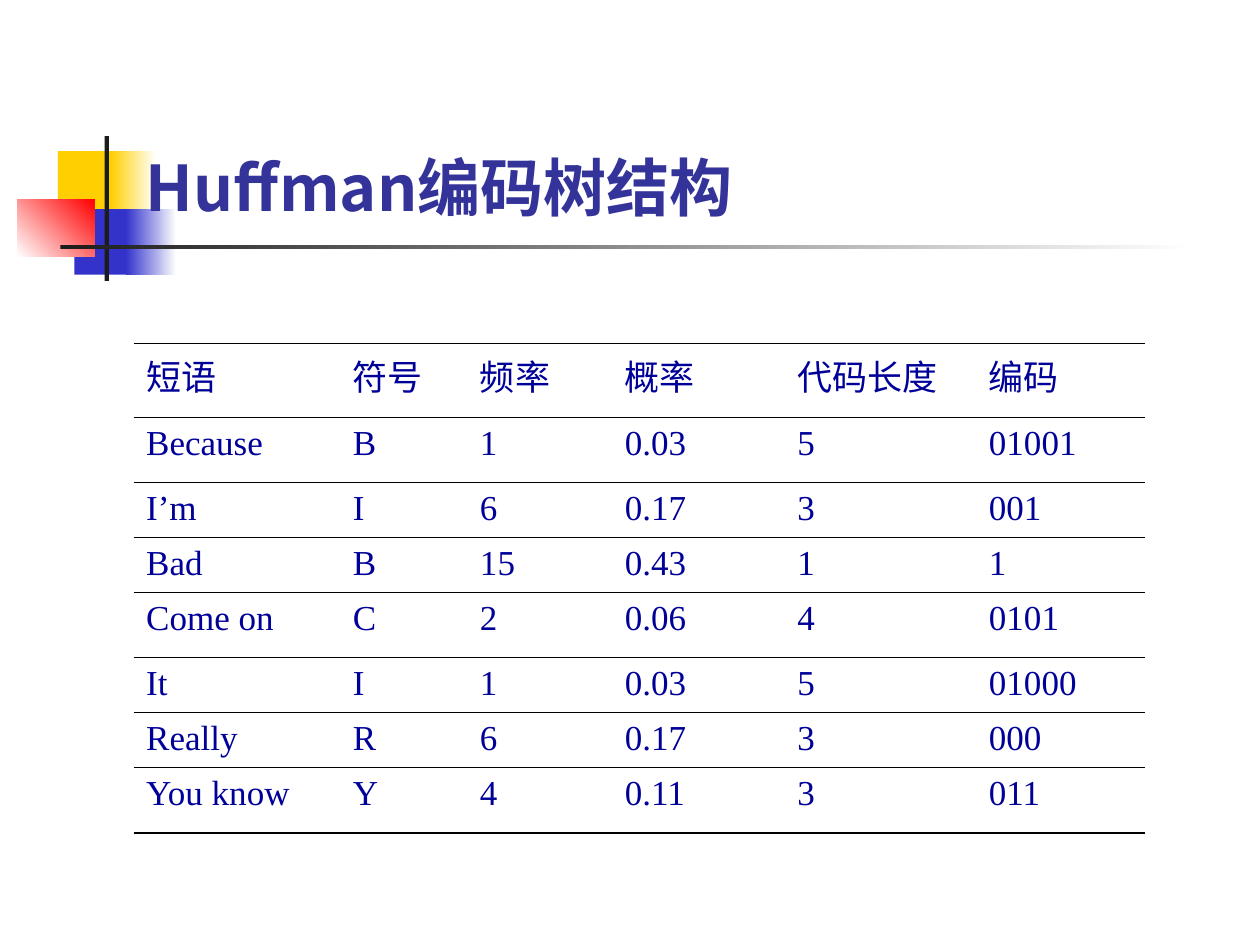
from dataclasses import dataclass
from typing import Optional

import pptx
import pptx.dml.color
import pptx.enum.shapes
import pptx.enum.text
import pptx.oxml
import pptx.oxml.ns
import pptx.util
from lxml import etree

RGBColor = pptx.dml.color.RGBColor
YELLOW = RGBColor(0xFF, 0xCF, 0x01)
BLUE = RGBColor(0x33, 0x33, 0xCC)
RED = RGBColor(0xFF, 0x00, 0x00)
CHARCOAL = RGBColor(0x1C, 0x1C, 0x1C)
WHITE = RGBColor(0xFF, 0xFF, 0xFF)
BLACK = RGBColor(0x00, 0x00, 0x00)
TITLE_COLOR = RGBColor(0x33, 0x33, 0x99)
TABLE_COLOR = RGBColor(0x00, 0x00, 0x99)
LATIN_FONT = "Times New Roman"
CJK_FONT = "Noto Sans CJK SC"

# The slide is a grid of 100 columns by 75 rows of square cells.
GRID_COLS, GRID_ROWS = 100, 75
CELL = pptx.util.Inches(0.1)

LEFT = 10.6
TABLE_TOP = 27.25
COL_WIDTHS = (16.4, 10.1, 11.5, 13.7, 15.2, 13.4)
HEADER_ROW, TALL_ROW, LOW_ROW = 5.9, 5.16, 4.37
ROW_HEIGHTS = (HEADER_ROW, TALL_ROW, LOW_ROW, LOW_ROW,
               TALL_ROW, LOW_ROW, LOW_ROW, TALL_ROW)
OUTER_RULE, INNER_RULE = 1.08, 0.45

CODES = (
    ("短语", "符号", "频率", "概率", "代码长度", "编码"),
    ("Because", "B", "1", "0.03", "5", "01001"),
    ("I’m", "I", "6", "0.17", "3", "001"),
    ("Bad", "B", "15", "0.43", "1", "1"),
    ("Come on", "C", "2", "0.06", "4", "0101"),
    ("It", "I", "1", "0.03", "5", "01000"),
    ("Really", "R", "6", "0.17", "3", "000"),
    ("You know", "Y", "4", "0.11", "3", "011"),
)


@dataclass(frozen=True)
class Block:
    """A rectangle on the grid; it fades from color to end when end is given."""
    col: float
    row: float
    cols: float
    rows: float
    color: RGBColor
    end: Optional[RGBColor] = None
    angle: float = 0


ORNAMENT = (
    Block(4.6, 12, 4.8, 5.2, YELLOW),
    Block(8.8, 12, 3.6, 5.2, YELLOW, WHITE),
    Block(5.9, 16.6, 4.6, 5.2, BLUE),
    Block(10, 16.6, 4, 5.2, BLUE, WHITE),
    Block(1.4, 15.8, 6.1, 4.6, WHITE, RED, 45),
    Block(8.3, 10.8, 0.35, 11.5, CHARCOAL),
    Block(4.8, 19.45, 90, 0.35, CHARCOAL, WHITE),
)


def grid(n: float) -> int:
    return int(n * CELL)


def add_block(slide, block: Block) -> None:
    sp = slide.shapes.add_shape(
        pptx.enum.shapes.MSO_SHAPE.RECTANGLE,
        *map(grid, (block.col, block.row, block.cols, block.rows)))
    sp.shadow.inherit = False
    sp.line.fill.background()
    if block.end is None:
        sp.fill.solid()
        sp.fill.fore_color.rgb = block.color
        return
    sp.fill.gradient()
    sp.fill.gradient_angle = block.angle
    for stop, color in zip(sp.fill.gradient_stops, (block.color, block.end)):
        stop.color.rgb = color


def style_paragraph(p, size: float, latin: str, color: RGBColor, bold: bool) -> None:
    """Set the font of a paragraph, with the CJK font for East Asian text."""
    p.font.size = pptx.util.Pt(size)
    p.font.bold = bold
    p.font.color.rgb = color
    p.font.name = latin
    for r in p.runs:
        r.font.language_id = None
        rpr = r.font._element
        etree.SubElement(rpr, pptx.oxml.ns.qn("a:ea"), typeface=CJK_FONT)


def add_title(slide, text: str) -> None:
    sp = slide.shapes.add_textbox(*map(grid, (LEFT, 10.7, 85.2, 7.6)))
    tf = sp.text_frame
    tf.word_wrap = True
    tf.vertical_anchor = pptx.enum.text.MSO_ANCHOR.BOTTOM
    tf.text = text
    style_paragraph(tf.paragraphs[0], 36, CJK_FONT, TITLE_COLOR, True)


def set_rules(cell, top: float, bottom: float) -> None:
    """Draw rules above and below a cell and none at its sides."""
    tcpr = cell._tc.get_or_add_tcPr()
    widths = {"lnL": 0, "lnR": 0, "lnT": top, "lnB": bottom}
    for i, (tag, width) in enumerate(widths.items()):
        ln = etree.Element(pptx.oxml.ns.qn(f"a:{tag}"), w=str(pptx.util.Pt(width)))
        if width:
            fill = etree.SubElement(ln, pptx.oxml.ns.qn("a:solidFill"))
            etree.SubElement(fill, pptx.oxml.ns.qn("a:srgbClr"), val=str(BLACK))
        else:
            etree.SubElement(ln, pptx.oxml.ns.qn("a:noFill"))
        tcpr.insert(i, ln)


def add_code_table(slide) -> None:
    last = len(CODES) - 1
    table = slide.shapes.add_table(
        len(CODES), len(COL_WIDTHS),
        *map(grid, (LEFT, TABLE_TOP, sum(COL_WIDTHS), sum(ROW_HEIGHTS)))).table
    table.first_row = table.horz_banding = False
    for column, width in zip(table.columns, COL_WIDTHS):
        column.width = grid(width)
    for i, (row, height, values) in enumerate(zip(table.rows, ROW_HEIGHTS, CODES)):
        row.height = grid(height)
        for cell, value in zip(row.cells, values):
            cell.text = value
            cell.fill.background()
            style_paragraph(cell.text_frame.paragraphs[0], 20, LATIN_FONT,
                            TABLE_COLOR, False)
            set_rules(cell, OUTER_RULE if i == 0 else INNER_RULE,
                      OUTER_RULE if i == last else INNER_RULE)


def main() -> None:
    prs = pptx.Presentation()
    prs.slide_width, prs.slide_height = grid(GRID_COLS), grid(GRID_ROWS)
    slide = prs.slides.add_slide(prs.slide_layouts[6])
    for block in ORNAMENT:
        add_block(slide, block)
    add_code_table(slide)
    add_title(slide, "Huffman编码树结构")
    prs.save("out.pptx")


if __name__ == "__main__":
    main()
